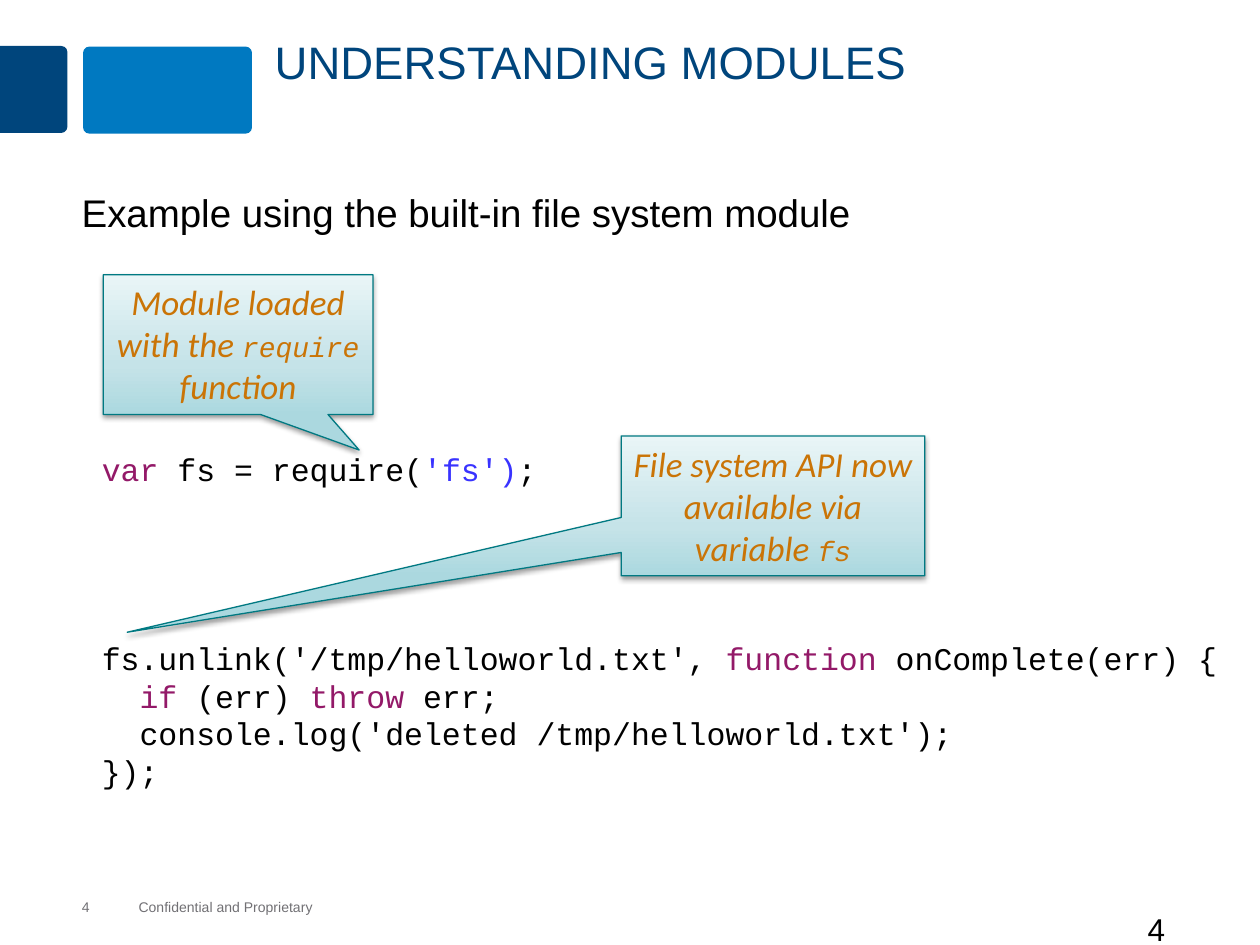
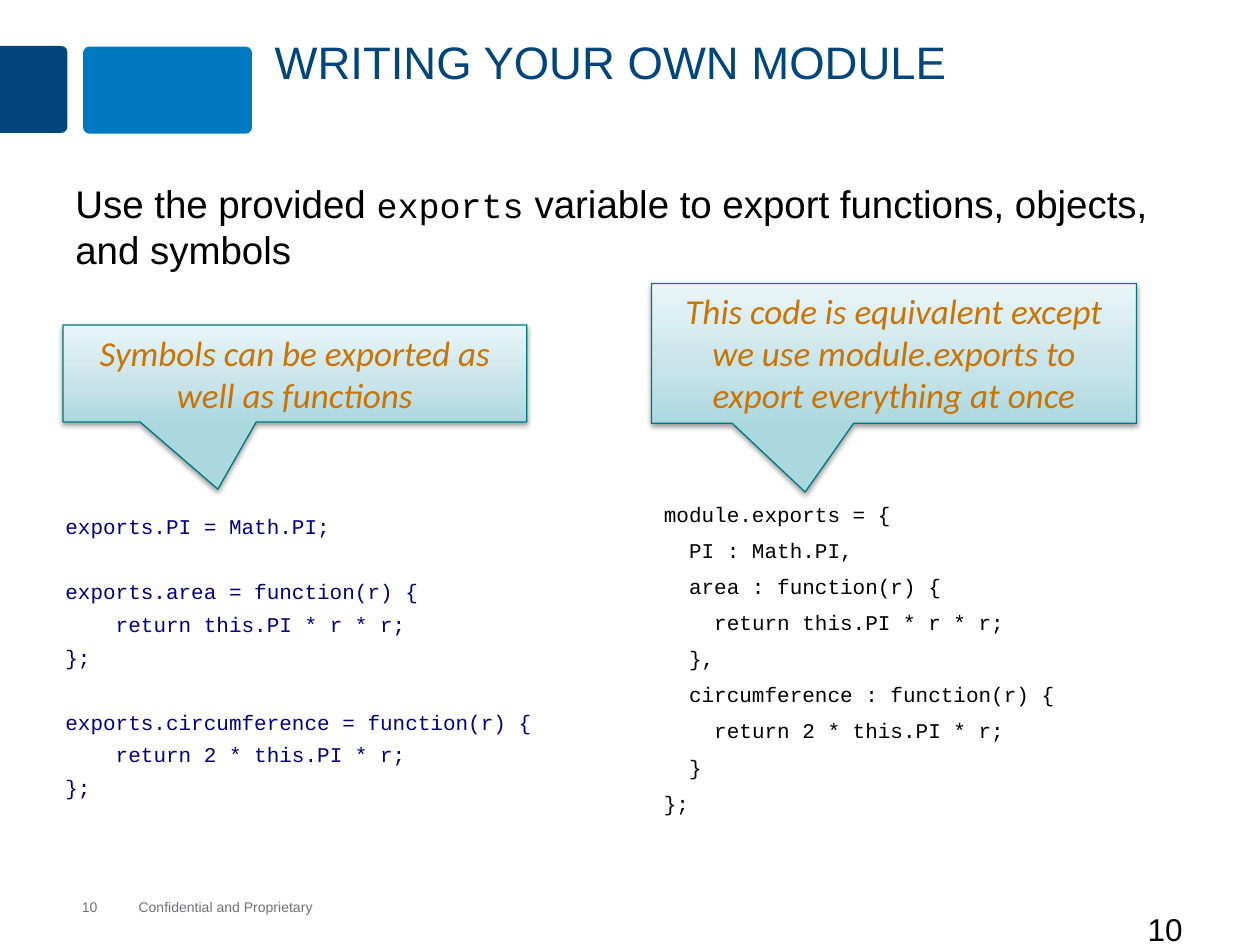
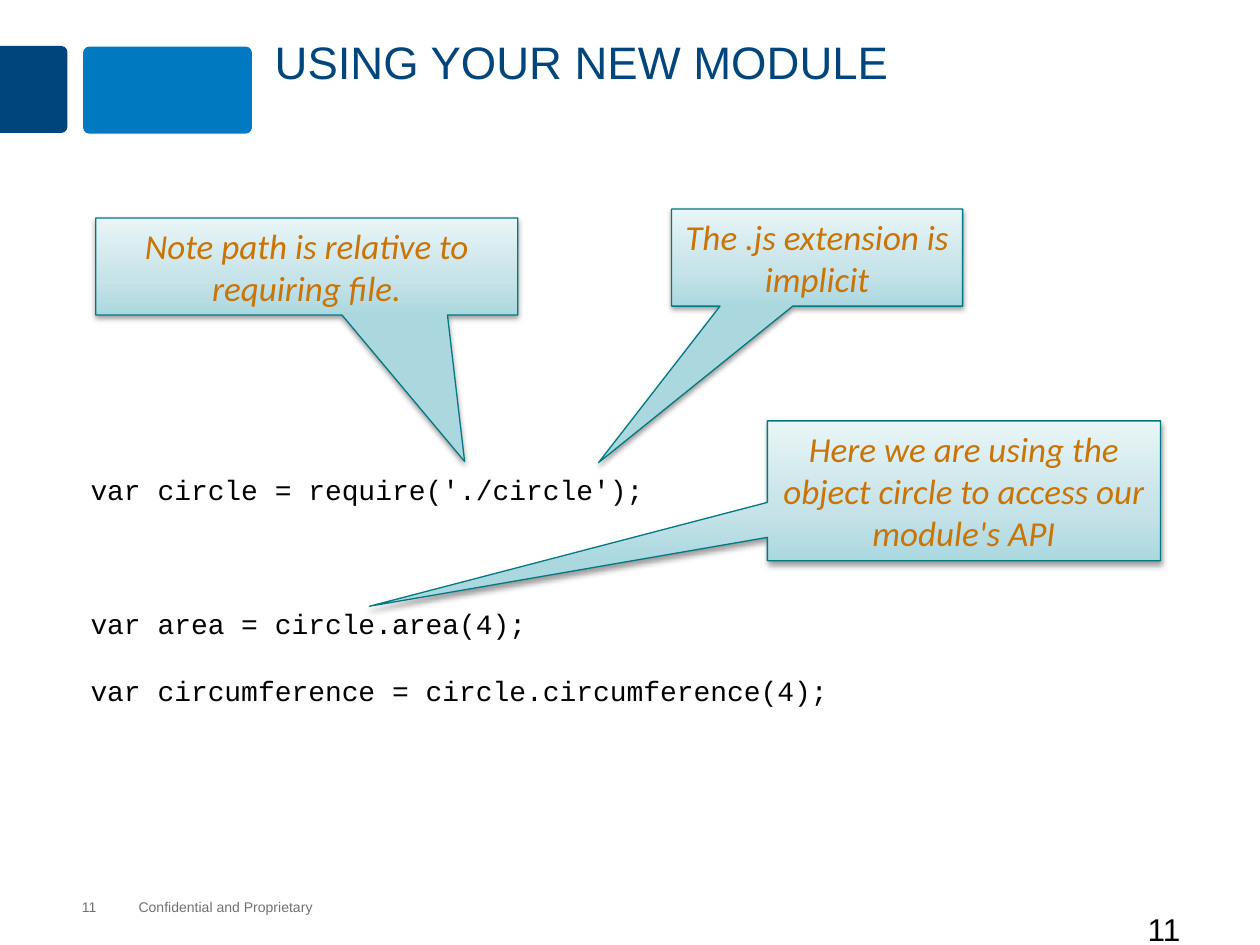
"""Build three slides on writing and using modules."""
import pptx
import pptx.util
import pptx.dml.color
import pptx.enum.shapes
import pptx.enum.text
import pptx.oxml
import pptx.oxml.ns

Inches, Pt = pptx.util.Inches, pptx.util.Pt
Shape = pptx.enum.shapes.MSO_SHAPE
Align = pptx.enum.text.PP_ALIGN
Anchor = pptx.enum.text.MSO_ANCHOR
NAVY, BLUE, GRAY, BLACK = "00457C", "0079C1", "717074", "000000"
TEAL, GOLD, PLUM, VIOLET, INK = "007982", "CA7406", "931968", "3933FF", "000080"
STOPS = [(0, "ABD8DF"), (35, "C5E3E8"), (100, "E9F5F7")]
LINE = 1.2


def rgb(code):
    return pptx.dml.color.RGBColor.from_string(code)


def font(name, size, color=BLACK, **more):
    return dict(name=name, size=Pt(size), color=color, **more)


def code(size, color=BLACK):
    return font("Courier New", size, color)


def node(body):
    return pptx.oxml.parse_xml(body.replace(">", " " + pptx.oxml.ns.nsdecls("a") + ">", 1))


HEAD = font("Arial", 26, NAVY)
LEAD = font("Arial", 22)
FOOT = font("Arial", 8, GRAY)
PAGE = font("Arial", 18)
NOTE = font("Calibri", 20, GOLD, italic=True)
TERM = {**NOTE, **dict(name="Courier New", size=Pt(16))}


class Deck:
    """Hold the style and the current slide."""

    def __init__(self):
        self.prs = pptx.Presentation()
        self.prs.slide_width, self.prs.slide_height = Inches(10), Inches(7.5)
        self.slide = None

    def page(self, title, number):
        self.slide = self.prs.slides.add_slide(self.prs.slide_layouts[5])
        self.band(Shape.ROUND_2_SAME_RECTANGLE, (-0.08, 0.44, 0.69, 0.54), NAVY, 0.09, 90)
        self.band(Shape.ROUNDED_RECTANGLE, (0.66, 0.37, 1.34, 0.69), BLUE, 0.07)
        head = self.slide.shapes.title
        head.left, head.top, head.width, head.height = map(Inches, (2.08, 0.25, 7.67, 0.91))
        self.fill(head, [title], HEAD, dict(line_spacing=0.95))
        foot = dict(margin=0, vertical_anchor=Anchor.MIDDLE)
        self.text((1.1, 7.13, 1.4, 0.13), ["Confidential and Proprietary"], FOOT,
                  frame=dict(foot, word_wrap=False))
        self.text((0.65, 7.13, 0.63, 0.13), [number], FOOT, frame=foot)
        self.text((9.01, 7.17, 0.99, 0.5), [number], PAGE)

    def band(self, kind, box, color, curve, turn=0):
        shape = self.slide.shapes.add_shape(kind, *map(Inches, box))
        shape.adjustments[0] = curve
        shape.rotation = turn
        shape.shadow.inherit = False
        shape.fill.solid()
        shape.fill.fore_color.rgb = rgb(color)
        shape.line.fill.background()

    def fill(self, shape, paras, style, form=None, frame=None):
        """Fill a shape; a paragraph is a string, or runs with its own format."""
        area = shape.text_frame
        look = dict(word_wrap=True, vertical_anchor=Anchor.TOP,
                    auto_size=pptx.enum.text.MSO_AUTO_SIZE.NONE)
        look.update(frame or {})
        margin = look.pop("margin", None)
        if margin is not None:
            for side in ("left", "top", "right", "bottom"):
                look["margin_" + side] = Inches(margin)
        for key, value in look.items():
            setattr(area, key, value)
        for count, item in enumerate(paras):
            para = area.paragraphs[0] if count == 0 else area.add_paragraph()
            runs, own = item if isinstance(item, tuple) else (item, {})
            rules = dict(alignment=Align.LEFT, **(form or {})) if not form else {
                "alignment": Align.LEFT, **form}
            rules.update(own)
            inset = rules.pop("inset", 0)
            if inset:
                para._p.get_or_add_pPr().set("marL", str(int(inset * style["size"] * 0.6)))
            for key, value in rules.items():
                setattr(para, key, value)
            for part in [(runs, {})] if isinstance(runs, str) else runs:
                run = para.add_run()
                run.text = part[0]
                for key, value in {**style, **part[1]}.items():
                    if key == "color":
                        run.font.color.rgb = rgb(value)
                    else:
                        setattr(run.font, key, value)

    def text(self, box, paras, style, form=None, frame=None):
        shape = self.slide.shapes.add_textbox(*map(Inches, box))
        self.fill(shape, paras, style, form, frame)

    def call(self, box, tip, runs):
        shape = self.slide.shapes.add_shape(Shape.RECTANGULAR_CALLOUT, *map(Inches, box))
        shape.adjustments[0], shape.adjustments[1] = tip
        shape.fill.gradient()
        shape.fill.gradient_angle = 90
        props = shape._element.spPr
        stops = props.find(".//" + pptx.oxml.ns.qn("a:gsLst"))
        for stop in list(stops):
            stops.remove(stop)
        for place, color in STOPS:
            stops.append(node(f'<a:gs pos="{place * 1000}"><a:srgbClr val="{color}"/></a:gs>'))
        shape.line.color.rgb = rgb(TEAL)
        shape.line.width = Pt(0.75)
        shape.shadow.inherit = False
        props.find(pptx.oxml.ns.qn("a:effectLst")).append(node(
            f'<a:outerShdw blurRad="{Pt(3.1)}" dist="{Pt(1.6)}" dir="5400000" rotWithShape="0">'
            f'<a:srgbClr val="{BLACK}"><a:alpha val="38000"/></a:srgbClr></a:outerShdw>'))
        self.fill(shape, [runs], NOTE, dict(alignment=Align.CENTER))


def gap(lines, size):
    return dict(space_before=Pt(lines * size * LINE))


def main():
    deck = Deck()
    key = dict(color=PLUM)

    deck.page("UNDERSTANDING MODULES", "4")
    deck.call((4.93, 3.46, 2.41, 1.11), (-2.127, 0.904),
              [("File system API now available via variable ", {}), ("fs", TERM)])
    deck.text((0.55, 1.48, 8.87, 0.6), ["Example using the built-in file system module"],
              LEAD, dict(line_spacing=0.95))
    deck.text((0.71, 3.52, 9.14, 3.31), [
        [("var ", key), ("fs = require(", {}), ("'fs')", dict(color=VIOLET)), (";", {})],
        ([("fs.unlink('/tmp/helloworld.txt', ", {}), ("function ", key),
          ("onComplete(err) {", {})], gap(4, 18)),
        ([("if ", key), ("(err) ", {}), ("throw ", key), ("err;", {})], dict(inset=2)),
        ("console.log('deleted /tmp/helloworld.txt');", dict(inset=2)),
        "});"], code(18))
    deck.call((0.82, 2.18, 2.14, 1.11), (0.449, 0.754),
              [("Module loaded with the ", {}), ("require", TERM), (" function", {})])

    deck.page("WRITING YOUR OWN MODULE", "10")
    deck.text((5.17, 4, 4.12, 2.58), [
        "module.exports = {",
        ("PI : Math.PI,", dict(inset=2)),
        ("area : function(r) {", dict(inset=2)),
        ("return this.PI * r * r;", dict(inset=4)),
        ("},", dict(inset=2)),
        ("circumference : function(r) {", dict(inset=2)),
        ("return 2 * this.PI * r;", dict(inset=4)),
        ("}", dict(inset=2)),
        "};"], code(12), dict(line_spacing=0.6, space_before=Pt(12)))
    deck.text((0.5, 1.38, 9.02, 0.9), [
        [("Use the provided ", {}), ("exports", code(20)),
         (" variable to export functions, objects, and symbols", {})]], LEAD)
    skip = dict(space_before=Pt(21.6))
    deck.text((0.42, 4.03, 4.55, 2.5), [
        "exports.PI = Math.PI;",
        ("exports.area = function(r) {", skip),
        ("return this.PI * r * r;", dict(inset=4)),
        "};",
        ("exports.circumference = function(r) {", skip),
        ("return 2 * this.PI * r;", dict(inset=4)),
        "};"], code(12, INK), dict(space_before=Pt(3), space_after=Pt(1.2)))
    deck.call((0.5, 2.58, 3.68, 0.77), (-0.166, 1.192),
              "Symbols can be exported as well as functions")
    deck.call((5.17, 2.25, 3.85, 1.11), (-0.183, 0.991),
              "This code is equivalent except we use module.exports to export everything at once")

    deck.page("USING YOUR NEW MODULE", "11")
    deck.text((0.62, 3.7, 8.15, 2.79), [
        "var circle = require('./circle');",
        ("var area = circle.area(4);", gap(3, 16)),
        ("var circumference = circle.circumference(4);", gap(1, 16))], code(16))
    deck.call((0.76, 1.73, 3.35, 0.77), (0.374, 2.01),
              "Note path is relative to requiring file.")
    deck.call((6.09, 3.34, 3.12, 1.11), (-1.512, 0.826),
              "Here we are using the object circle to access our module's API")
    deck.call((5.33, 1.66, 2.31, 0.77), (-0.751, 2.113), "The .js extension is implicit")

    deck.prs.save("out.pptx")


main()
